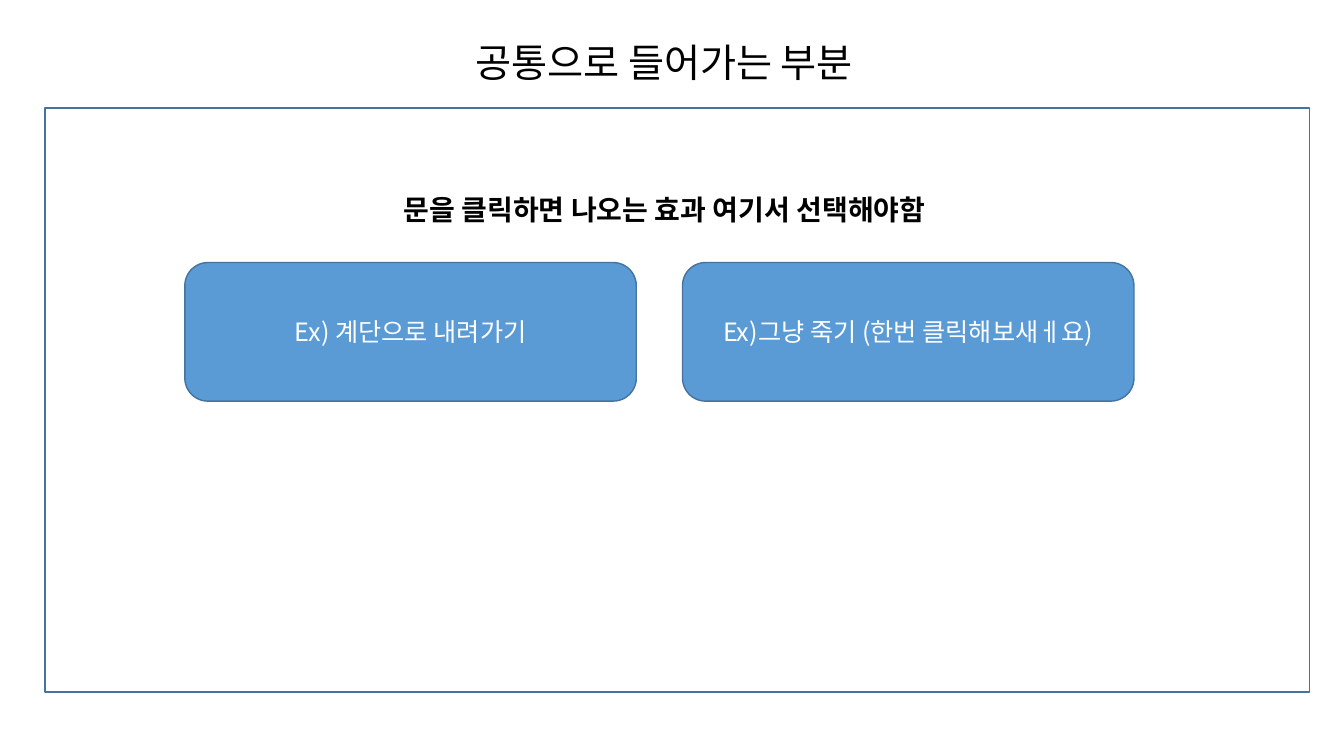
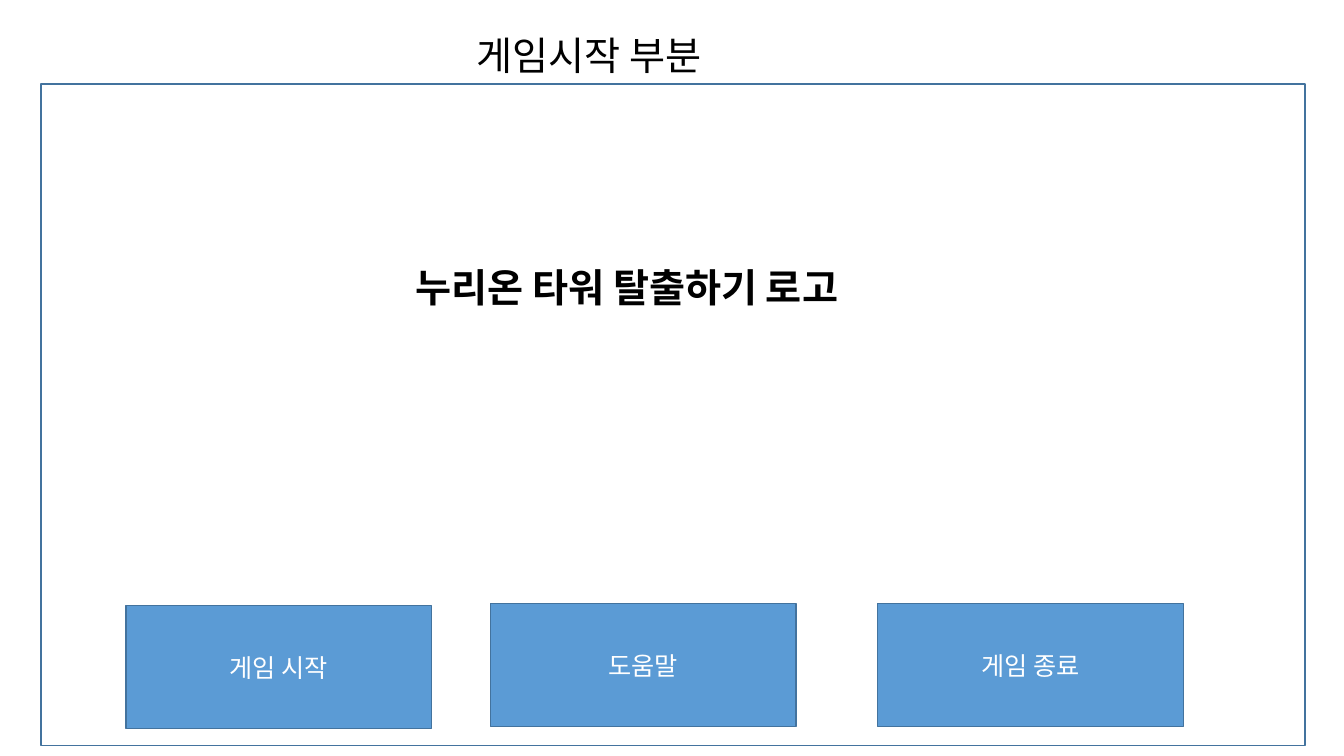
import pptx
import pptx.dml.color
import pptx.enum.shapes
import pptx.enum.text
import pptx.oxml.ns
import pptx.util
from lxml import etree

PX = 9525
FONT = "Noto Sans CJK KR"
COLORS = {"button": "5B9BD5", "outline": "43739E", "ink": "000000", "label": "FFFFFF"}
SHAPES = pptx.enum.shapes.MSO_SHAPE
ALIGN = pptx.enum.text.PP_ALIGN
ANCHOR = pptx.enum.text.MSO_ANCHOR


def color(name):
    return pptx.dml.color.RGBColor.from_string(COLORS[name])


def emu(*lengths):
    return [pptx.util.Emu(length * PX) for length in lengths]


def write(shape, text, size, ink, bold=False, align=ALIGN.LEFT, anchor=ANCHOR.TOP):
    frame = shape.text_frame
    frame.text = text
    frame.word_wrap = True
    frame.auto_size = pptx.enum.text.MSO_AUTO_SIZE.NONE
    frame.vertical_anchor = anchor
    para = frame.paragraphs[0]
    para.alignment = align
    for span in para.runs:
        span.font.name = FONT
        span.font.size = pptx.util.Pt(size)
        span.font.bold = bold
        span.font.color.rgb = color(ink)
        # Korean glyphs take the East Asian typeface
        east_asian = etree.SubElement(span.font._element, pptx.oxml.ns.qn("a:ea"))
        east_asian.set("typeface", FONT)


def add_outlined(page, kind, box):
    shape = page.shapes.add_shape(kind, *emu(*box))
    shape.shadow.inherit = False
    shape.fill.background()
    shape.line.color.rgb = color("outline")
    shape.line.width = pptx.util.Pt(1)
    return shape


def add_button(page, kind, box, text):
    button = add_outlined(page, kind, box)
    button.fill.solid()
    button.fill.fore_color.rgb = color("button")
    write(button, text, 18, "label", align=ALIGN.CENTER, anchor=ANCHOR.MIDDLE)


def add_screen(deck, box, title, heading, kind, button_size, buttons):
    """Add a page with a framed game screen; parts are offset from the frame's corner."""
    page = deck.slides.add_slide(deck.slide_layouts[5])
    left, top = box[:2]

    def place(x, y, width, height):
        return left + x, top + y, width, height

    add_outlined(page, SHAPES.RECTANGLE, box)

    title_text, title_box = title
    title_shape = page.shapes.title
    (title_shape.left, title_shape.top,
     title_shape.width, title_shape.height) = emu(*place(*title_box))
    write(title_shape, title_text, 28, "ink")

    heading_text, heading_size, heading_box = heading
    heading_shape = page.shapes.add_textbox(*emu(*place(*heading_box)))
    write(heading_shape, heading_text, heading_size, "ink", bold=True)

    for text, x, y in buttons:
        add_button(page, kind, place(x, y, *button_size), text)


def main():
    deck = pptx.Presentation()
    deck.slide_width, deck.slide_height = emu(1280, 720)
    add_screen(
        deck, (43, 103, 1204, 556),
        title=("공통으로 들어가는 부분", (400, -71, 423, 55)),
        heading=("문을 클릭하면 나오는 효과 여기서 선택해야함", 20, (332, 76, 578, 42)),
        kind=SHAPES.ROUNDED_RECTANGLE, button_size=(430, 132),
        buttons=[("Ex) 계단으로 내려가기", 133, 147),
                 ("Ex)그냥 죽기 (한번 클릭해보새ㅔ요)", 607, 147)])
    add_screen(
        deck, (39, 80, 1204, 630),
        title=("게임시작 부분", (405, -55, 259, 55)),
        heading=("누리온 타워 탈출하기 로고", 28, (347, 166, 474, 55)),
        kind=SHAPES.RECTANGLE, button_size=(291, 117),
        buttons=[("게임 시작", 81, 497), ("도움말", 428, 495), ("게임 종료", 797, 495)])
    deck.save("out.pptx")


if __name__ == "__main__":
    main()
